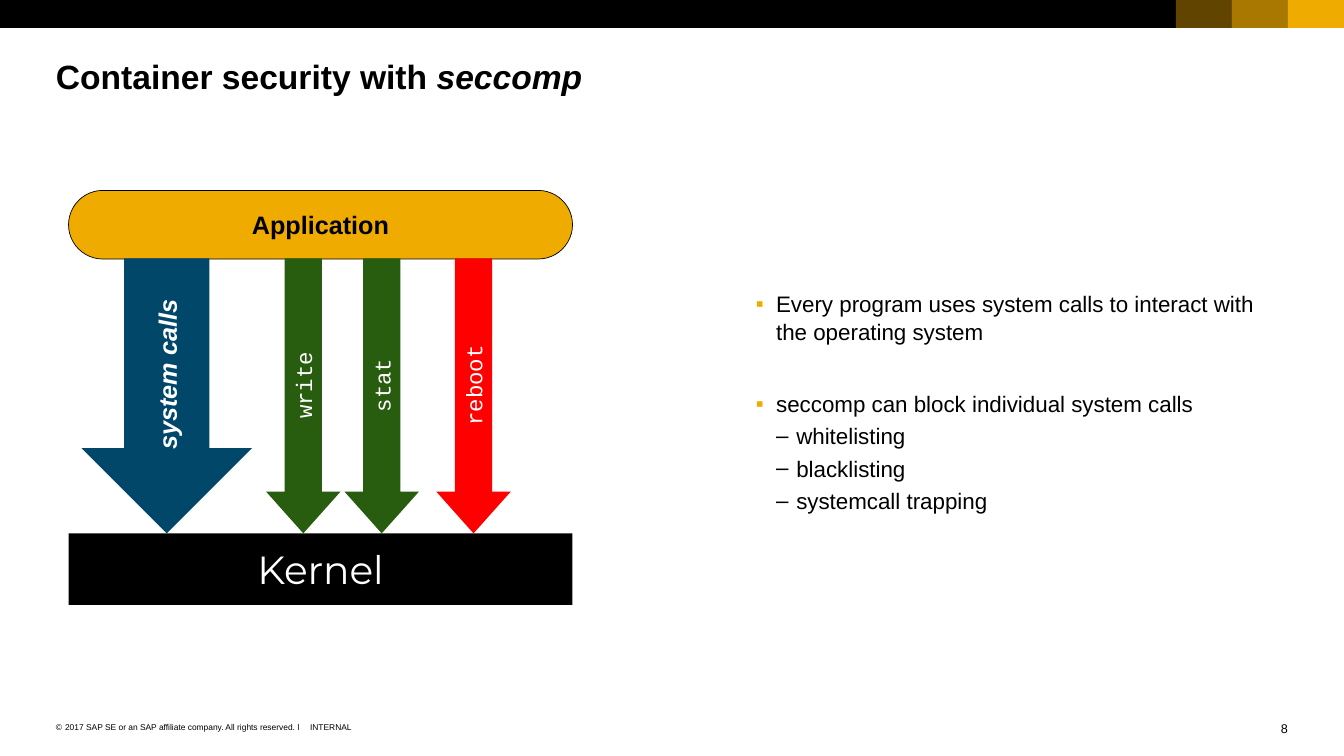
import pptx
import pptx.util
import pptx.dml.color
import pptx.enum.shapes
import pptx.enum.text
import pptx.oxml.ns
from lxml import etree
from dataclasses import dataclass


@dataclass(frozen=True)
class Theme:
    black: str = "000000"
    white: str = "FFFFFF"
    gold: str = "F0AB00"
    blue: str = "00476A"
    green: str = "285C0E"
    red: str = "FF0000"
    sans: str = "Arial"
    mono: str = "Courier New"
    display: str = "Montserrat"
    title: int = 24
    kernel: int = 28
    label: int = 18
    body: int = 16
    page: int = 9
    footer: int = 6


theme = Theme()
RGB = pptx.dml.color.RGBColor.from_string
SHAPE = pptx.enum.shapes.MSO_SHAPE
ALIGN = pptx.enum.text.PP_ALIGN
MIDDLE = pptx.enum.text.MSO_ANCHOR.MIDDLE
qn = pptx.oxml.ns.qn

deck = pptx.Presentation()
deck.slide_width = pptx.util.Inches(13.34)
deck.slide_height = pptx.util.Inches(7.5)
slide = deck.slides.add_slide(deck.slide_layouts[6])

# Grid of 96 columns by 54 rows; every place below is left, top, width, height in it
col, row = deck.slide_width / 96, deck.slide_height / 54


def add_part(place, kind=None, fill=None):
    """Add a filled shape, or a text box without margins when no kind is given."""
    box = [int(n * unit) for n, unit in zip(place, (col, row, col, row))]
    if kind is None:
        part = slide.shapes.add_textbox(*box)
        inset_x = inset_y = 0
    else:
        part = slide.shapes.add_shape(kind, *box)
        part.shadow.inherit = False
        part.fill.solid()
        part.fill.fore_color.rgb = RGB(fill)
        part.line.fill.background()
        part.text_frame.vertical_anchor = MIDDLE
        inset_x, inset_y = pptx.util.Inches(0.1), pptx.util.Inches(0.08)
    frame = part.text_frame
    frame.word_wrap = True
    frame.margin_left = frame.margin_right = inset_x
    frame.margin_top = frame.margin_bottom = inset_y
    return part


def style(line, size, color=theme.black, face=theme.sans, align=ALIGN.LEFT,
          bold=False, italic=False, bullet=None, bullet_color=theme.black, indent=0, hang=0):
    """Set a paragraph's bullet, alignment and font."""
    if bullet:
        props = line._p.get_or_add_pPr()
        props.set("marL", str(pptx.util.Inches(indent)))
        props.set("indent", str(-pptx.util.Inches(hang)))
        tint = etree.SubElement(props, qn("a:buClr"))
        etree.SubElement(tint, qn("a:srgbClr"), val=bullet_color)
        etree.SubElement(props, qn("a:buFont"), typeface=theme.sans)
        etree.SubElement(props, qn("a:buChar"), char=bullet)
    line.alignment = align
    line.font.size = pptx.util.Pt(size)
    line.font.name = face
    line.font.color.rgb = RGB(color)
    line.font.bold, line.font.italic = bold, italic


# Top bar with three gold swatches of growing strength
add_part((0, 0, 96, 2), SHAPE.RECTANGLE, theme.black)
for step, opacity in enumerate((40, 70, 100)):
    swatch = add_part((84 + 4 * step, 0, 4, 2), SHAPE.RECTANGLE, theme.gold)
    if opacity < 100:
        tint = swatch._element.spPr.find(qn("a:solidFill"))[0]
        etree.SubElement(tint, qn("a:alpha"), val=str(opacity * 1000))

# Title
heading = add_part((4, 4, 88, 2.9)).text_frame.paragraphs[0]
heading.add_run().text = "Container security with "
tool_name = heading.add_run()
tool_name.text = "seccomp"
style(heading, theme.title, bold=True)
tool_name.font.italic = True

# Application and kernel, with the calls running between them
calls_top, kernel_top = 18.45, 38.1
kernel = add_part((4.9, kernel_top, 36, 5.1), SHAPE.RECTANGLE, theme.black)
application = add_part((4.9, 13.6, 36, 4.9), SHAPE.ROUNDED_RECTANGLE, theme.gold)
application.adjustments[0] = 0.5
application.line.color.rgb = RGB(theme.black)
application.line.width = pptx.util.Pt(0.5)
for layer, name, size, color, face, bold in (
    (kernel, "Kernel", theme.kernel, theme.white, theme.display, False),
    (application, "Application", theme.label, theme.black, theme.sans, True),
):
    layer.text_frame.text = name
    style(layer.text_frame.paragraphs[0], size, color, face, ALIGN.CENTER, bold)

for left, width, head, name, fill, size, face, strong in (
    (5.83, 12.16, 0.5, "system calls", theme.blue, theme.label, theme.sans, True),
    (19, 5.33, 0.56, "write", theme.green, theme.body, theme.mono, False),
    (24.6, 5.33, 0.56, "stat", theme.green, theme.body, theme.mono, False),
    (31.16, 5.33, 0.56, "reboot", theme.red, theme.body, theme.mono, False),
):
    call = add_part((left, calls_top, width, kernel_top - calls_top), SHAPE.DOWN_ARROW, fill)
    call.adjustments[1] = head
    call.text_frame._txBody.bodyPr.set("vert", "vert270")
    call.text_frame.text = name
    style(call.text_frame.paragraphs[0], size, theme.white, face, ALIGN.CENTER, strong, strong)

# Explanation: level, space before, wording
points = (
    (1, 0, "Every program uses system calls to interact with the operating system"),
    (1, 31, "seccomp can block individual system calls"),
    (2, 3, "whitelisting"),
    (2, 3, "blacklisting"),
    (2, 3, "systemcall trapping"),
)
marks = {1: ("▪", theme.gold), 2: ("–", theme.black)}
explanation = add_part((54, 11.75, 38, 33.85)).text_frame
explanation.vertical_anchor = MIDDLE
for order, (level, gap, wording) in enumerate(points):
    point = explanation.add_paragraph() if order else explanation.paragraphs[0]
    point.text = wording
    mark, mark_color = marks[level]
    style(point, theme.body, bullet=mark, bullet_color=mark_color,
          indent=0.2 * level, hang=0.2)
    point.line_spacing = 1.05
    if gap:
        point.space_before = pptx.util.Pt(gap)

# Footer
rights = add_part((4, 51.6, 17.85, 0.72)).text_frame
rights.text = "2017 SAP SE or an SAP affiliate company. All rights reserved. ǀ"
style(rights.paragraphs[0], theme.footer, bullet="©", indent=0.09, hang=0.09)
audience = add_part((22.15, 51.6, 4, 0.72)).text_frame
audience.text = "INTERNAL"
style(audience.paragraphs[0], theme.footer)
page = add_part((90, 51.5, 2, 1.08)).text_frame
page.text = "8"
style(page.paragraphs[0], theme.page, align=ALIGN.RIGHT)

deck.save("out.pptx")
